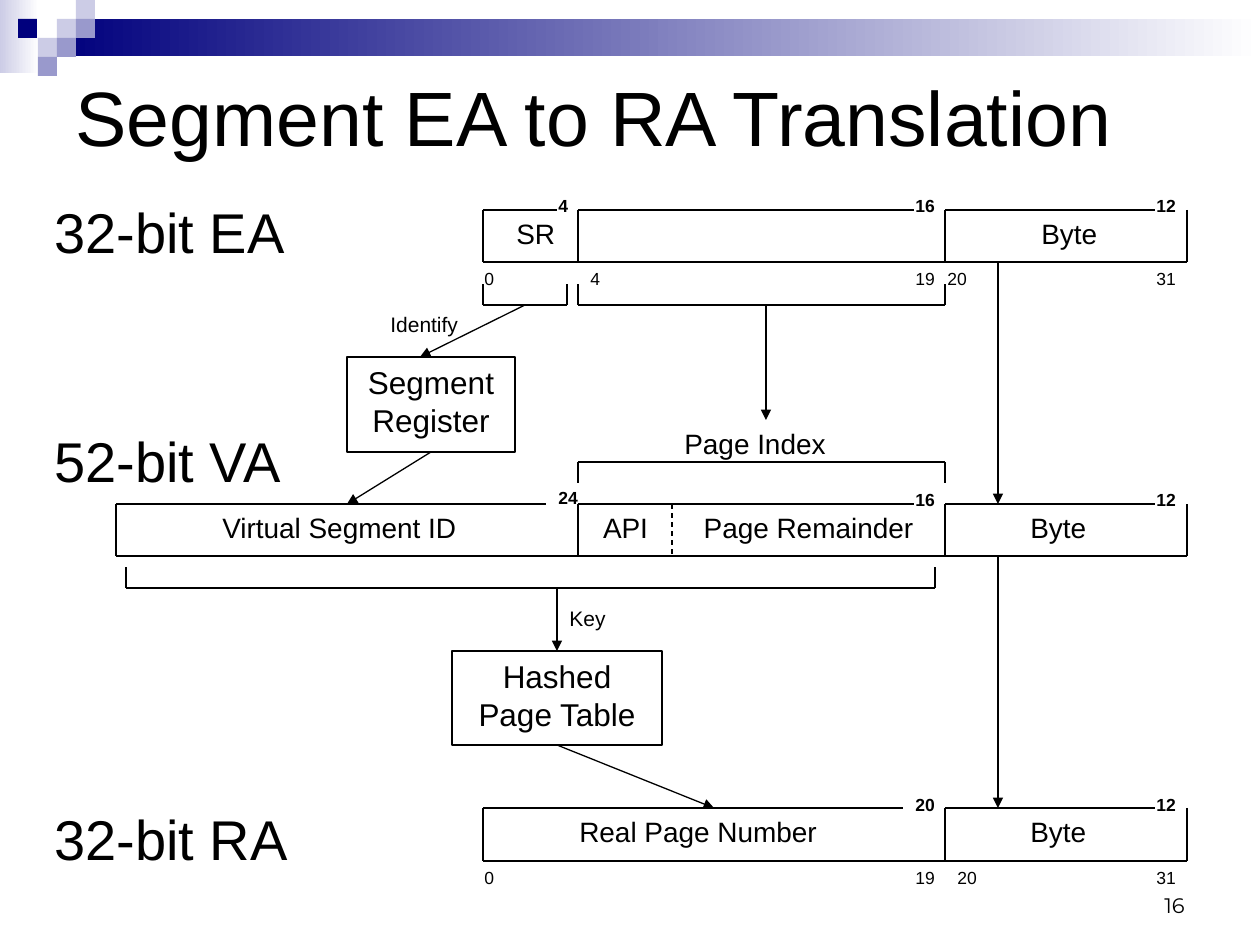
from lxml import etree
from pptx import Presentation
from pptx.dml.color import RGBColor
from pptx.enum.dml import MSO_LINE_DASH_STYLE as Dash
from pptx.enum.shapes import MSO_CONNECTOR as Conn, MSO_SHAPE as Shape
from pptx.enum.text import MSO_ANCHOR as Anchor, PP_ALIGN as Align
from pptx.oxml.ns import qn
from pptx.util import Pt

SCALE = 914400 / 126
BLACK = RGBColor(0x00, 0x00, 0x00)
WHITE = RGBColor(0xFF, 0xFF, 0xFF)
NAVY = RGBColor(0x00, 0x00, 0x7D)
LILAC = RGBColor(0x99, 0x99, 0xCC)
PALE = RGBColor(0xCC, 0xCC, 0xE6)

# Shared column edges of the address rows
PAGE, BYTE, END = 578, 945, 1187
# Text box height for each type size
HIGH = {10: 34, 12: 38, 16: 47, 32: 81}


def px(*nums):
    return [round(n * SCALE) for n in nums]


def write(frame, text, size, bold=False, align=Align.LEFT,
          anchor=Anchor.TOP, font="Arial"):
    frame.word_wrap = True
    frame.vertical_anchor = anchor
    para = frame.paragraphs[0]
    para.alignment = align
    run = para.add_run()
    run.text = text
    run.font.name = font
    run.font.size = Pt(size)
    run.font.bold = bold
    run.font.color.rgb = BLACK
    return para


def label(slide, text, x, y, wide, size, **style):
    box = slide.shapes.add_textbox(*px(x, y, wide, HIGH[size]))
    return write(box.text_frame, text, size, **style)


def block(slide, x, y, wide, high, fill=None, fade=None):
    rect = slide.shapes.add_shape(Shape.RECTANGLE, *px(x, y, wide, high))
    rect.shadow.inherit = False
    rect.line.fill.background()
    if fade:
        rect.fill.gradient()
        rect.fill.gradient_angle = 0
        for stop, tone in zip(rect.fill.gradient_stops, (fill, fade)):
            stop.color.rgb = tone
    elif fill:
        rect.fill.solid()
        rect.fill.fore_color.rgb = fill
    else:
        rect.fill.background()
    return rect


def step(slide, text, x, y, wide, high):
    rect = block(slide, x, y, wide, high)
    rect.line.color.rgb = BLACK
    rect.line.width = Pt(0.75)
    write(rect.text_frame, text, 18, align=Align.CENTER)
    return rect


def line(slide, x1, y1, x2, y2, arrow=False):
    link = slide.shapes.add_connector(Conn.STRAIGHT, *px(x1, y1, x2, y2))
    link.line.color.rgb = BLACK
    link.line.width = Pt(0.75)
    if arrow:
        tail = etree.SubElement(link.line._get_or_add_ln(), qn("a:tailEnd"))
        tail.set("type", "triangle")
    etree.SubElement(link._element.spPr, qn("a:effectLst"))
    return link


def row(slide, top, low, edges, stops):
    """Address row whose top side breaks before each bit count."""
    line(slide, edges[0], low, edges[-1], low)
    for x in edges:
        line(slide, x, top, x, low)
    for x, stop in zip(edges, stops):
        line(slide, x, top, stop, top)


def brace(slide, left, right, y, tip):
    line(slide, left, y, right, y)
    for x in (left, right):
        line(slide, x, y, x, tip)


def banner(slide):
    block(slide, 0, 0, 39, 73, PALE, WHITE)
    block(slide, 57, 19, 1203, 37, NAVY, WHITE)
    for x, y, tone in ((57, 19, PALE), (76, 0, PALE), (76, 19, LILAC),
                       (38, 38, PALE), (18, 19, NAVY), (57, 38, LILAC),
                       (38, 57, LILAC)):
        block(slide, x, y, 19, 19, tone)


def main():
    deck = Presentation()
    deck.slide_width, deck.slide_height = px(1260, 945)
    slide = deck.slides.add_slide(deck.slide_layouts[5])
    banner(slide)

    # Title and row names
    title = slide.shapes.title
    title.left, title.top, title.width, title.height = px(63, 21, 1134, 189)
    write(title.text_frame, "Segment EA to RA Translation", 44,
          anchor=Anchor.MIDDLE)
    label(slide, "32-bit EA", 42, 199, 262, 32).line_spacing = 0.9
    label(slide, "52-bit VA", 42, 420, 325, 32)
    label(slide, "32-bit RA", 42, 798, 325, 32)

    # Address rows
    row(slide, 210, 262, (483, PAGE, BYTE, END), (557, 914, 1155))
    row(slide, 504, 556, (116, PAGE, BYTE, END), (546, 914, 1155))
    row(slide, 808, 861, (483, BYTE, END), (903, 1155))
    line(slide, 672, 504, 672, 556).line.dash_style = Dash.DASH

    # Field names
    for text, x, y, wide in (
            ("SR", 504, 210, 95), ("Byte", 1029, 210, 95),
            ("Page Index", 672, 420, 199),
            ("Virtual Segment ID", 210, 504, 273), ("Byte", 1018, 504, 95),
            ("Real Page Number", 567, 808, 305), ("Byte", 1018, 808, 95)):
        label(slide, text, x, y, wide, 16)
    label(slide, "API", PAGE, 504, 95, 16, align=Align.CENTER)
    label(slide, "Page Remainder", 672, 504, 273, 16, align=Align.CENTER)

    # Bit counts above and bit positions below the rows
    for y, marks in ((189, (("4", 546), ("16", 903), ("12", 1144))),
                     (483, (("16", 903), ("12", 1144))),
                     (481, (("24", 546),)),
                     (788, (("20", 903), ("12", 1144)))):
        for text, x in marks:
            label(slide, text, x, y, 53, 10, bold=True)
    for y, marks in ((262, (("0", 472), ("4", PAGE), ("19", 903),
                            ("20", 935), ("31", 1144))),
                     (861, (("0", 472), ("19", 903),
                            ("20", BYTE), ("31", 1144)))):
        for text, x in marks:
            label(slide, text, x, y, 53, 10)

    # Braces
    brace(slide, 483, 567, 305, 284)
    brace(slide, PAGE, BYTE, 305, 284)
    brace(slide, PAGE, BYTE, 462, 483)
    brace(slide, 126, 935, 588, 567)

    # Lookup steps and arrows
    seg = step(slide, "Segment Register", 347, 357, 168, 95)
    hashed = step(slide, "Hashed Page Table", 452, 651, 210, 94)
    for ends in ((525, 305, 420, 357), (766, 305, 766, 420),
                 (998, 262, 998, 504), (998, 556, 998, 808)):
        line(slide, *ends, arrow=True)
    line(slide, 431, 452, 347, 504, arrow=True).begin_connect(seg, 2)
    line(slide, 557, 588, 557, 651, arrow=True).end_connect(hashed, 0)
    line(slide, 557, 745, 714, 808, arrow=True).begin_connect(hashed, 2)
    label(slide, "Identify", 378, 305, 95, 12)
    label(slide, "Key", 557, 599, 95, 12)

    # Page number
    foot = slide.shapes.add_textbox(*px(903, 861, 294, 63))
    write(foot.text_frame, "16", 12, align=Align.RIGHT,
          anchor=Anchor.BOTTOM, font="Montserrat")

    deck.save("out.pptx")


if __name__ == "__main__":
    main()
